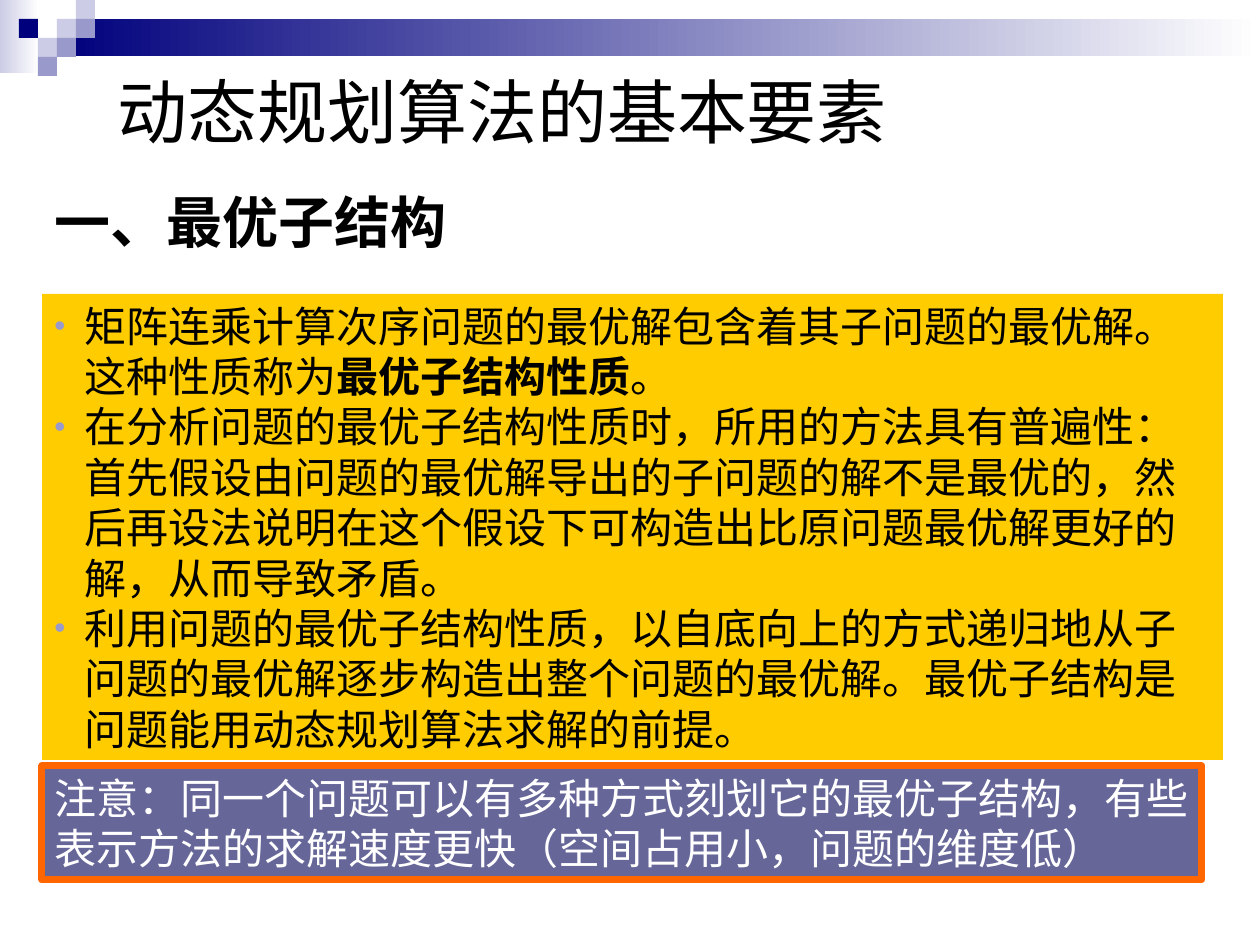
from pptx import Presentation
from pptx.dml.color import RGBColor as Rgb
from pptx.enum.shapes import MSO_SHAPE as Kind
from pptx.enum.text import MSO_ANCHOR as Anchor, MSO_AUTO_SIZE as Auto, PP_ALIGN as Align
from pptx.oxml import parse_xml
from pptx.oxml.ns import nsdecls
from pptx.util import Emu, Pt

SCALE = 914400 / 126
CELL = 19
HUES = {
    "navy": "00007D", "pale": "CCCCE6", "lilac": "9999CC", "white": "FFFFFF",
    "black": "000000", "gold": "FFCC00", "slate": "666699", "orange": "FF6600",
}


def px(num):
    return Emu(round(num * SCALE))


def hue(name):
    return Rgb.from_string(HUES[name])


def write(frame, paras, size=24, color="black", bold=False, indent=0,
          bullet=None, space=None, anchor=Anchor.TOP):
    frame.word_wrap = True
    frame.auto_size = Auto.NONE
    frame.vertical_anchor = anchor
    for i, runs in enumerate(paras):
        para = frame.paragraphs[0] if i == 0 else frame.add_paragraph()
        para.alignment = Align.LEFT
        para.line_spacing = space
        prop = para._p.get_or_add_pPr()
        if indent:
            prop.set("marL", str(px(indent)))
            prop.set("indent", str(-px(indent)))
        if bullet:
            for tag in (f'<a:buClr {nsdecls("a")}><a:srgbClr val="{HUES["lilac"]}"/></a:buClr>',
                        f'<a:buSzPct {nsdecls("a")} val="75000"/>',
                        f'<a:buFont {nsdecls("a")} typeface="Arial"/>',
                        f'<a:buChar {nsdecls("a")} char="{bullet}"/>'):
                prop.append(parse_xml(tag))
        for text, strong in runs:
            run = para.add_run()
            run.text = text
            font = run.font
            font.name = "Arial"
            font.size = Pt(size)
            font.bold = bold or strong
            font.color.rgb = hue(color)


class Deck:
    def __init__(self):
        self.show = Presentation()
        self.show.slide_width = px(1260)
        self.show.slide_height = px(945)
        self.slide = self.show.slides.add_slide(self.show.slide_layouts[5])

    def title(self, text, x, y, w, h, **style):
        head = self.slide.shapes.title
        head.left, head.top, head.width, head.height = map(px, (x, y, w, h))
        write(head.text_frame, [[(text, False)]], **style)

    def label(self, text, x, y, w, h, **style):
        box = self.slide.shapes.add_textbox(*map(px, (x, y, w, h)))
        write(box.text_frame, [[(text, False)]], **style)

    def rect(self, x, y, w, h, fill, line=None):
        box = self.slide.shapes.add_shape(Kind.RECTANGLE, *map(px, (x, y, w, h)))
        box.shadow.inherit = False
        box.fill.solid()
        box.fill.fore_color.rgb = hue(fill)
        if line:
            box.line.color.rgb = hue(line)
            box.line.width = Pt(4)
        else:
            box.line.fill.background()
        return box

    def fade(self, x, y, w, h, start):
        fill = self.rect(x, y, w, h, start).fill
        fill.gradient()
        fill.gradient_angle = 0
        for stop, name, pos in zip(fill.gradient_stops, (start, "white"), (0, 1)):
            stop.color.rgb = hue(name)
            stop.position = pos

    def panel(self, paras, x, y, w, h, fill, line=None, **style):
        write(self.rect(x, y, w, h, fill, line).text_frame, paras, **style)


def main():
    deck = Deck()
    deck.fade(0, 0, 39, 73, "pale")
    deck.fade(57, 19, 1203, 37, "navy")
    for col, row, fill in ((3, 1, "pale"), (4, 0, "pale"), (4, 1, "lilac"),
                           (2, 2, "pale"), (1, 1, "navy"), (3, 2, "lilac"),
                           (2, 3, "lilac")):
        deck.rect(col * CELL, row * CELL, CELL, CELL, fill)

    deck.title("动态规划算法的基本要素", 105, 32, 1071, 157, size=40, anchor=Anchor.MIDDLE)
    deck.label("一、最优子结构", 42, 189, 1071, 73, size=32, bold=True, space=0.9)
    points = [
        [("矩阵连乘计算次序问题的最优解包含着其子问题的最优解。这种性质称为", False),
         ("最优子结构性质", True), ("。", False)],
        [("在分析问题的最优子结构性质时，所用的方法具有普遍性：首先假设由问题的最优解导出的子问题的解不是最优的，"
          "然后再设法说明在这个假设下可构造出比原问题最优解更好的解，从而导致矛盾。", False)],
        [("利用问题的最优子结构性质，以自底向上的方式递归地从子问题的最优解逐步构造出整个问题的最优解。"
          "最优子结构是问题能用动态规划算法求解的前提。", False)],
    ]
    deck.panel(points, 42, 294, 1181, 466, "gold", indent=30, bullet="•")
    note = "注意：同一个问题可以有多种方式刻划它的最优子结构，有些表示方法的求解速度更快（空间占用小，问题的维度低）"
    deck.panel([[(note, False)]], 42, 766, 1160, 114, "slate", line="orange", color="white")
    deck.show.save("out.pptx")


if __name__ == "__main__":
    main()
